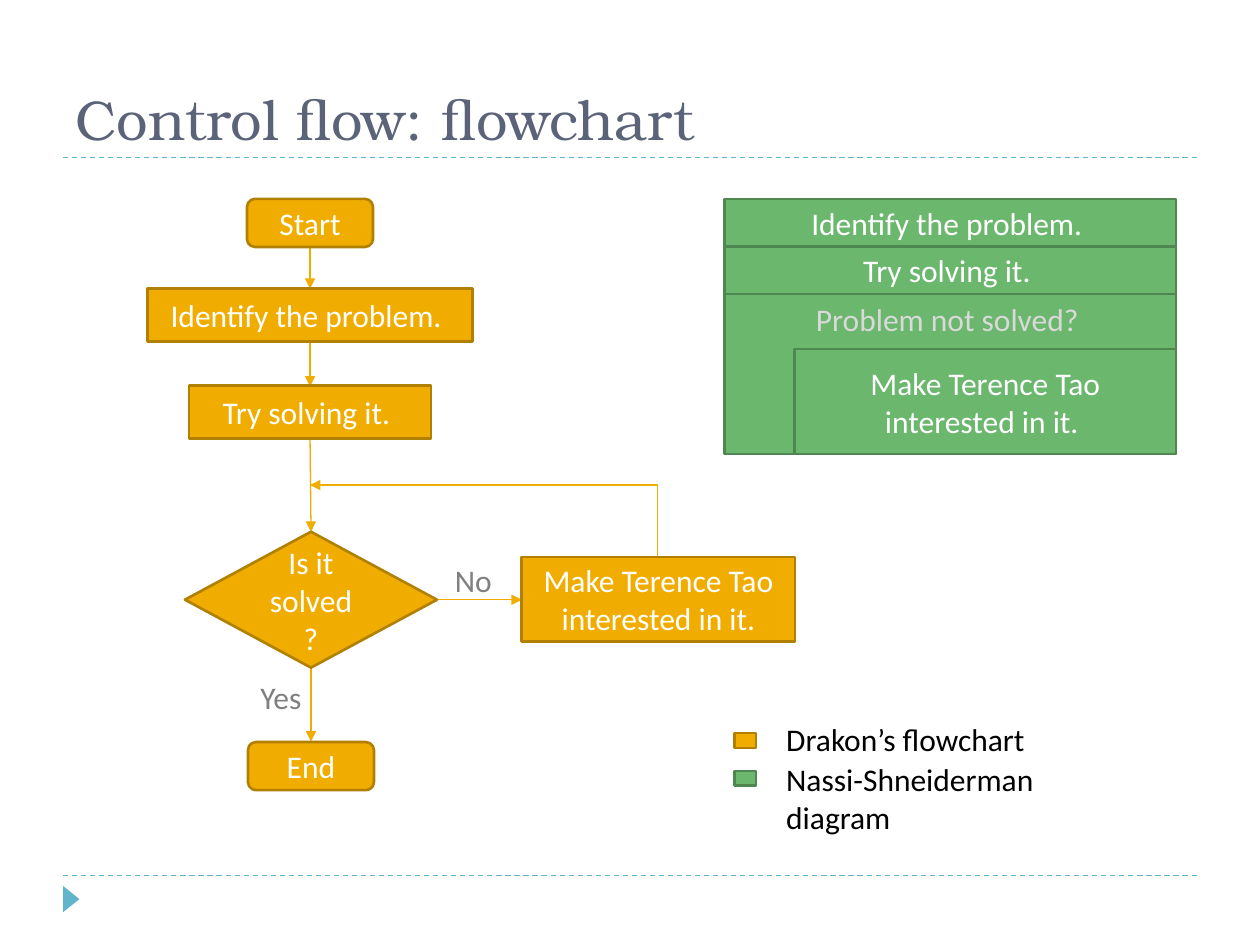
"""Build a slide that compares a flowchart with a Nassi-Shneiderman diagram."""
from dataclasses import dataclass

from lxml import etree
from pptx import Presentation
from pptx import util as u
from pptx.dml import color as c
from pptx.enum import dml, shapes, text
from pptx.oxml import ns

KIND = shapes.MSO_SHAPE


@dataclass(frozen=True)
class Theme:
    orange: str = "F0AD00"
    orange_edge: str = "B28000"
    green: str = "6BB76D"
    green_edge: str = "4F8751"
    accent: str = "60B5CC"
    title: str = "5A6378"
    white: str = "FFFFFF"
    black: str = "000000"
    grey: str = "808080"
    pale: str = "D9D9D9"
    title_font: str = "TeX Gyre Bonum"
    body_font: str = "Calibri"
    title_size: float = 32
    body_size: float = 18
    edge_width: float = 1.5
    line_width: float = 0.75


THEME = Theme()


@dataclass(frozen=True)
class Box:
    left: float
    top: float
    width: float
    height: float
    wording: str = ""
    kind: int = KIND.FLOWCHART_PROCESS
    fill: str = THEME.orange
    edge: str = THEME.orange_edge
    rotation: float = 0


@dataclass(frozen=True)
class Label:
    left: float
    top: float
    width: float
    height: float
    wording: str
    color: str
    font: str = THEME.body_font
    size: float = THEME.body_size
    anchor: int = text.MSO_ANCHOR.TOP


@dataclass(frozen=True)
class Line:
    start: tuple[float, float]
    end: tuple[float, float]
    color: str = THEME.orange
    arrow: bool = True


def rgb(value: str) -> c.RGBColor:
    return c.RGBColor.from_string(value)


def write(shape, wording: str, color: str, font: str, size: float, alignment: int) -> None:
    shape.text_frame.word_wrap = True
    shape.text_frame.text = wording
    for paragraph in shape.text_frame.paragraphs:
        paragraph.alignment = alignment
        for run in paragraph.runs:
            run.font.name = font
            run.font.size = u.Pt(size)
            run.font.color.rgb = rgb(color)


def draw_box(slide, box: Box) -> None:
    shape = slide.shapes.add_shape(
        box.kind, u.Cm(box.left), u.Cm(box.top), u.Cm(box.width), u.Cm(box.height))
    shape.shadow.inherit = False
    shape.rotation = box.rotation
    shape.fill.solid()
    shape.fill.fore_color.rgb = rgb(box.fill)
    if box.edge:
        shape.line.color.rgb = rgb(box.edge)
        shape.line.width = u.Pt(THEME.edge_width)
    else:
        shape.line.fill.background()
    if box.wording:
        shape.text_frame.vertical_anchor = text.MSO_ANCHOR.MIDDLE
        write(shape, box.wording, THEME.white, THEME.body_font, THEME.body_size,
              text.PP_ALIGN.CENTER)


def draw_label(slide, label: Label) -> None:
    shape = slide.shapes.add_textbox(
        u.Cm(label.left), u.Cm(label.top), u.Cm(label.width), u.Cm(label.height))
    shape.text_frame.vertical_anchor = label.anchor
    write(shape, label.wording, label.color, label.font, label.size, text.PP_ALIGN.LEFT)


def draw_line(slide, line: Line, kind: int = shapes.MSO_CONNECTOR.STRAIGHT):
    connector = slide.shapes.add_connector(
        kind, *(u.Cm(value) for value in (*line.start, *line.end)))
    connector.line.color.rgb = rgb(line.color)
    connector.line.width = u.Pt(THEME.line_width)
    properties = connector._element.spPr
    if line.arrow:
        outline = properties.find(ns.qn("a:ln"))
        etree.SubElement(outline, ns.qn("a:tailEnd"), type="triangle")
    else:
        connector.line.dash_style = dml.MSO_LINE.DASH
    etree.SubElement(properties, ns.qn("a:effectLst"))
    return connector


def draw_return_arrow(slide, start: tuple[float, float], end: tuple[float, float]) -> None:
    """Draw an arrow that rises from start and then turns left to end."""
    rise, run = start[1] - end[1], start[0] - end[0]
    left = (start[0] + end[0] - rise) / 2
    top = (start[1] + end[1] - run) / 2
    connector = draw_line(slide, Line((left, top + run), (left + rise, top)),
                          shapes.MSO_CONNECTOR.ELBOW)
    properties = connector._element.spPr
    properties.find(ns.qn("a:xfrm")).set("rot", "16200000")
    properties.find(ns.qn("a:prstGeom")).set("prst", "bentConnector2")


def green_box(left: float, top: float, width: float, height: float, wording: str = "") -> Box:
    return Box(left, top, width, height, wording, fill=THEME.green, edge=THEME.green_edge)


IDENTIFY, TRY, ASK = ("Identify the problem. ", "Try solving it. ",
                      "Make Terence Tao interested in it.")
ROUNDED = KIND.FLOWCHART_ALTERNATE_PROCESS

RULES = [Line((1.27, y), (24.13, y), THEME.accent, False) for y in (17.65, 3.18)]
ARROWS = [
    Line((6.25, 4.98), (6.25, 5.82)),
    Line((6.25, 6.89), (6.25, 7.79)),
    Line((6.25, 8.84), (6.27, 10.72)),
    Line((6.27, 13.46), (6.27, 14.95)),
    Line((8.81, 12.09), (10.52, 12.09)),
]
BOXES = [
    Box(1.17, 17.96, 0.53, 0.33, kind=KIND.ISOSCELES_TRIANGLE, fill=THEME.accent,
        edge="", rotation=90),
    Box(4.98, 4.01, 2.54, 0.97, "Start", ROUNDED),
    Box(2.97, 5.82, 6.55, 1.07, IDENTIFY),
    Box(3.81, 7.77, 4.88, 1.07, TRY),
    Box(3.73, 10.72, 5.08, 2.74, "Is it solved ?", KIND.FLOWCHART_DECISION),
    Box(5, 14.96, 2.54, 0.97, "End", ROUNDED),
    Box(10.52, 11.23, 5.51, 1.7, ASK, KIND.RECTANGLE),
    green_box(14.61, 5.92, 9.1, 3.23),
    green_box(14.61, 4.01, 9.1, 0.96, IDENTIFY),
    green_box(14.61, 4.97, 9.1, 0.96, TRY),
    green_box(16.02, 7.04, 7.69, 2.11, ASK + " "),
    Box(14.81, 14.78, 0.43, 0.3),
    green_box(14.81, 15.54, 0.43, 0.3),
]
LABELS = [
    Label(1.27, 0.64, 22.86, 2.54, "Control flow: flowchart", THEME.title,
          THEME.title_font, THEME.title_size, text.MSO_ANCHOR.BOTTOM),
    Label(5, 13.54, 1.5, 1.07, "Yes", THEME.grey),
    Label(8.92, 11.18, 1.5, 1.07, "No", THEME.grey),
    Label(16.2, 5.92, 5.92, 1.02, "Problem not solved?", THEME.pale),
    Label(15.6, 14.4, 6.45, 1.02, "Drakon’s flowchart", THEME.black),
    Label(15.6, 15.2, 7, 1.02, "Nassi-Shneiderman diagram", THEME.black),
]

presentation = Presentation()
presentation.slide_width, presentation.slide_height = u.Cm(25.4), u.Cm(19.05)
slide = presentation.slides.add_slide(presentation.slide_layouts[6])
for line in RULES + ARROWS:
    draw_line(slide, line)
draw_return_arrow(slide, (13.26, 11.23), (6.25, 9.78))
for box in BOXES:
    draw_box(slide, box)
for label in LABELS:
    draw_label(slide, label)
presentation.save("out.pptx")
